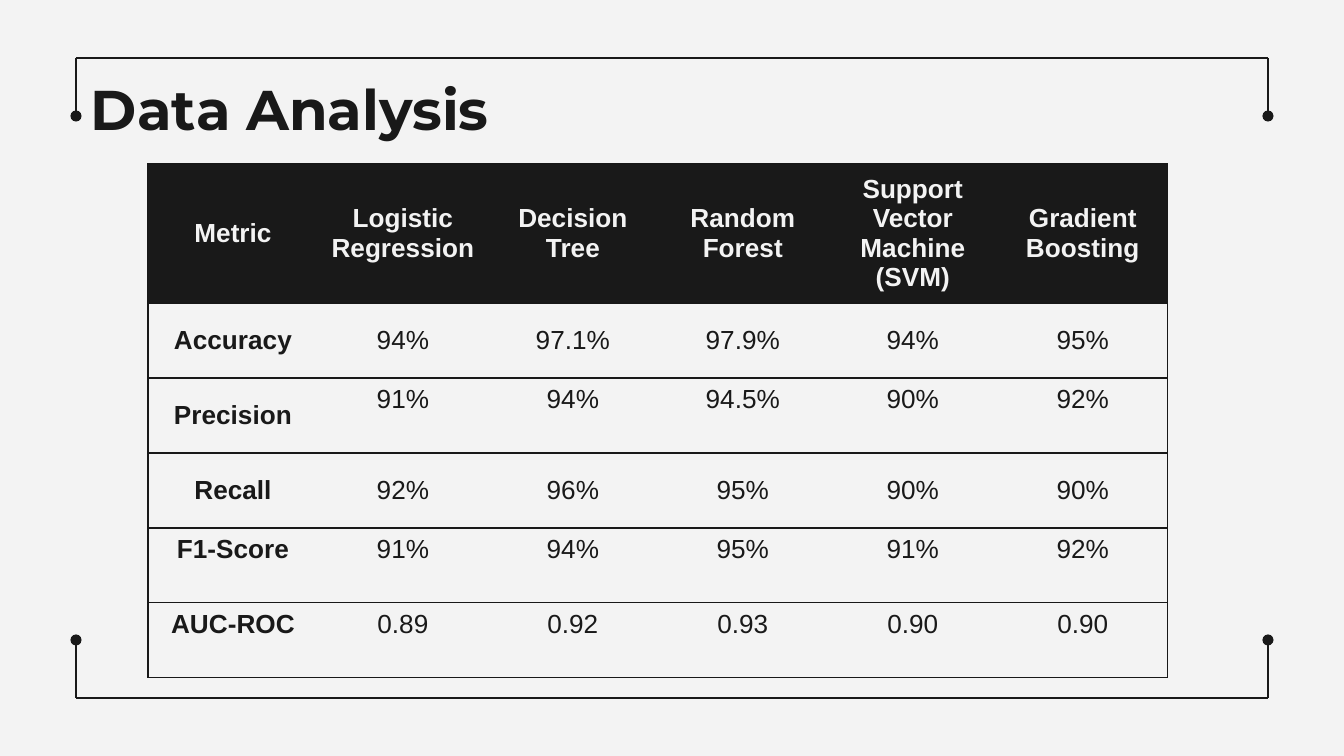
from dataclasses import dataclass

from lxml.etree import SubElement as Sub
from pptx import Presentation
from pptx.dml.color import RGBColor as Rgb
from pptx.enum.shapes import MSO_CONNECTOR as Conn
from pptx.enum.text import MSO_ANCHOR as Anchor, PP_ALIGN as Align
from pptx.oxml.ns import qn
from pptx.util import Emu, Pt

SCALE = 914400 / 134.4
COLORS = {"page": "F3F3F3", "ink": "191919", "rule": "181818"}


@dataclass
class Line:
    x1: int
    y1: int
    x2: int
    y2: int
    dot: bool = False


@dataclass
class Row:
    cells: list[str]
    anchor: Anchor
    rest: Anchor
    head: bool = False


LEFT, RIGHT, TOP, BASE, ARM = 76, 1268, 58, 698, 58
LINES = [
    line
    for y, step in ((TOP, ARM), (BASE, -ARM))
    for line in (
        Line(LEFT, y, RIGHT, y),
        Line(LEFT, y, LEFT, y + step, True),
        Line(RIGHT, y, RIGHT, y + step, True),
    )
]

MID, HIGH = Anchor.MIDDLE, Anchor.TOP
ROWS = [
    Row(["Metric", "Logistic Regression", "Decision Tree", "Random Forest",
         "Support Vector Machine (SVM)", "Gradient Boosting"], MID, MID, True),
    Row(["Accuracy", "94%", "97.1%", "97.9%", "94%", "95%"], MID, MID),
    Row(["Precision", "91%", "94%", "94.5%", "90%", "92%"], MID, HIGH),
    Row(["Recall", "92%", "96%", "95%", "90%", "90%"], MID, MID),
    Row(["F1-Score", "91%", "94%", "95%", "91%", "92%"], HIGH, HIGH),
    Row(["AUC-ROC", "0.89", "0.92", "0.93", "0.90", "0.90"], HIGH, HIGH),
]
TABLE_X, TABLE_Y, COL_W, HEAD_H, ROW_H = 148, 164, 170, 131, 75


def px(n: int) -> Emu:
    return Emu(round(n * SCALE))


def rgb(name: str) -> Rgb:
    return Rgb.from_string(COLORS[name])


def add_run(para, text: str, font: str, size: int, color: str, bold: bool) -> None:
    run = para.add_run()
    run.text = text
    run.font.name = font
    run.font.size = Pt(size)
    run.font.bold = bold
    run.font.color.rgb = rgb(color)


def draw_line(slide, line: Line) -> None:
    ends = (px(n) for n in (line.x1, line.y1, line.x2, line.y2))
    conn = slide.shapes.add_connector(Conn.STRAIGHT, *ends)
    conn.line.color.rgb = rgb("ink")
    conn.line.width = Pt(0.75)
    if line.dot:
        Sub(conn.line._get_or_add_ln(), qn("a:tailEnd"), type="oval")
    Sub(conn._element.spPr, qn("a:effectLst"))


def draw_title(slide, text: str) -> None:
    box = slide.shapes.add_textbox(px(78), px(62), px(1133), px(85))
    frame = box.text_frame
    frame.word_wrap = True
    frame.margin_left = frame.margin_right = px(13)
    frame.margin_top = frame.margin_bottom = px(13)
    add_run(frame.paragraphs[0], text, "Montserrat", 30, "ink", True)


def set_edges(cell, shown: str) -> None:
    props = cell._tc.get_or_add_tcPr()
    for side in "LRTB":
        edge = Sub(props, qn(f"a:ln{side}"), w=str(Pt(0.75)))
        if side in shown:
            fill = Sub(edge, qn("a:solidFill"))
            Sub(fill, qn("a:srgbClr"), val=COLORS["rule"])
        else:
            Sub(edge, qn("a:noFill"))


def draw_table(slide, rows: list[Row]) -> None:
    count = len(rows[0].cells)
    high = HEAD_H + ROW_H * (len(rows) - 1)
    table = slide.shapes.add_table(
        len(rows), count, px(TABLE_X), px(TABLE_Y), px(COL_W * count), px(high)
    ).table
    table.first_row = table.horz_banding = False
    for col in table.columns:
        col.width = px(COL_W)
    for r, row in enumerate(rows):
        table.rows[r].height = px(HEAD_H if row.head else ROW_H)
        for c, text in enumerate(row.cells):
            cell = table.cell(r, c)
            set_edges(cell, "TB" + "L" * (c == 0) + "R" * (c == count - 1))
            if row.head:
                cell.fill.solid()
                cell.fill.fore_color.rgb = rgb("ink")
            else:
                cell.fill.background()
            cell.vertical_anchor = row.rest if c else row.anchor
            para = cell.text_frame.paragraphs[0]
            para.alignment = Align.CENTER
            color = "page" if row.head else "ink"
            add_run(para, text, "Arial", 14, color, row.head or c == 0)


def main() -> None:
    """Build the data analysis slide with its corner frame and metric table."""
    deck = Presentation()
    deck.slide_width, deck.slide_height = px(1344), px(756)
    slide = deck.slides.add_slide(deck.slide_layouts[6])
    slide.background.fill.solid()
    slide.background.fill.fore_color.rgb = rgb("page")
    for line in LINES:
        draw_line(slide, line)
    draw_title(slide, "Data Analysis")
    draw_table(slide, ROWS)
    deck.save("out.pptx")


if __name__ == "__main__":
    main()
